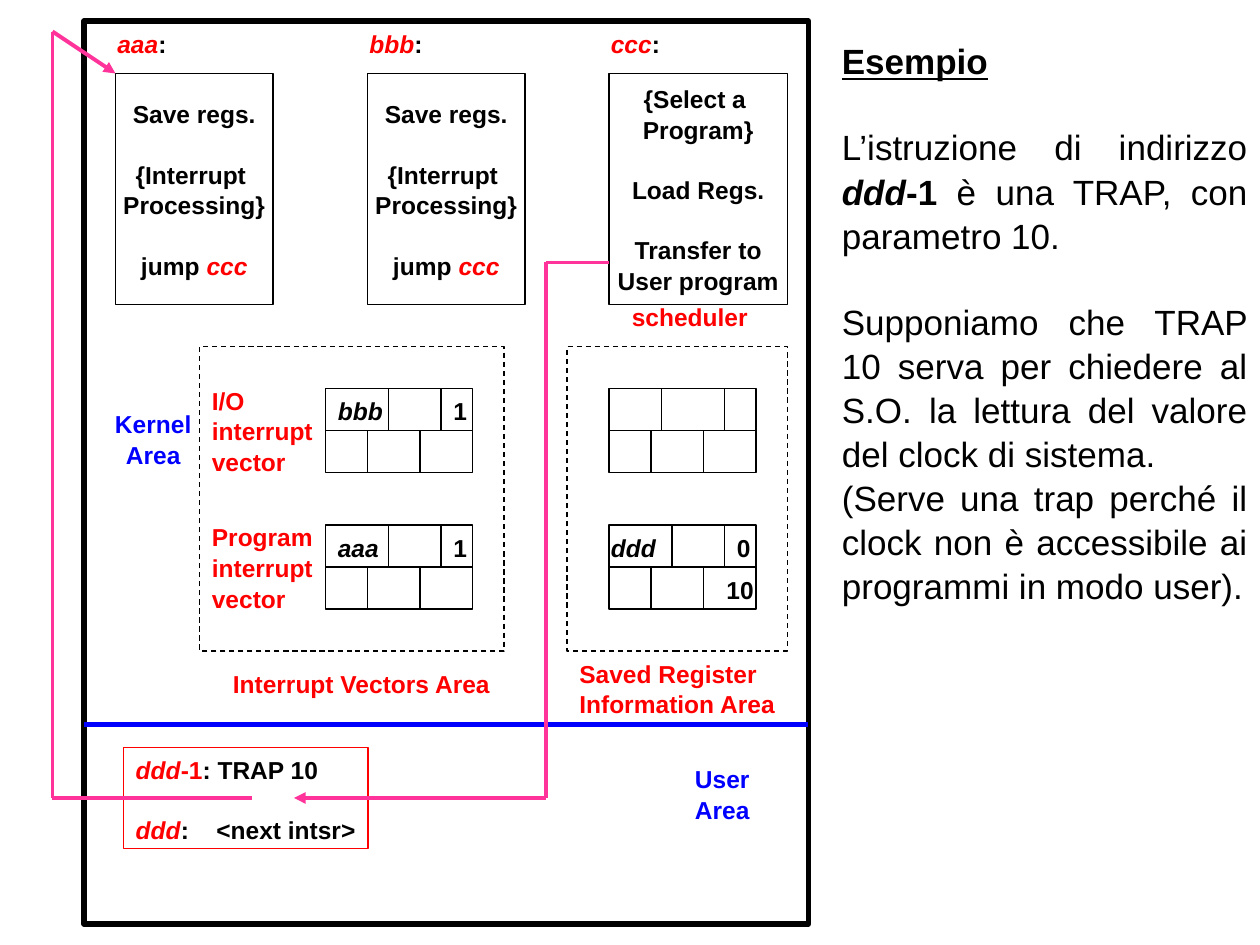
from dataclasses import dataclass

from lxml import etree
from pptx import Presentation
from pptx.dml.color import RGBColor
from pptx.enum.dml import MSO_LINE_DASH_STYLE as Dash
from pptx.enum.shapes import MSO_CONNECTOR as Connector, MSO_SHAPE as Shape
from pptx.enum.text import MSO_ANCHOR as Anchor, MSO_AUTO_SIZE as AutoSize, PP_ALIGN as Align
from pptx.oxml.ns import qn
from pptx.util import Inches, Pt


@dataclass(frozen=True)
class Theme:
    font: str = "Arial"
    label: int = 14
    body: int = 20
    thin: float = 0.75
    flow: float = 2.25
    thick: float = 3
    leading: float = 1.05
    black: str = "000000"
    white: str = "FFFFFF"
    red: str = "FF0000"
    blue: str = "0000FF"
    pink: str = "FF3399"


T = Theme()
COLS, ROWS = 120, 90  # grid of twelve cells to the inch
LINE = 1.2            # height of a text line, as a share of its type size
CELL_PT = 6           # points in one grid cell

RED_NAME = dict(color=T.red, italic=True)
NAME = dict(bold=True, italic=True)


def grid(*cells):
    return [Inches(c / 12) for c in cells]


def rgb(value):
    return RGBColor.from_string(value)


def write(tf, paras, size=T.label, color=T.black, bold=True, italic=False,
          align=Align.LEFT, gaps=(), tab=None):
    """Fill a frame; a paragraph is a string or a list of strings and (text, format) pairs.
    The paragraphs numbered in gaps have one free line before them."""
    for i, runs in enumerate(paras):
        p = tf.paragraphs[0] if i == 0 else tf.add_paragraph()
        if tab:
            tabs = etree.SubElement(p._p.get_or_add_pPr(), qn("a:tabLst"))
            etree.SubElement(tabs, qn("a:tab"), pos=str(Inches(tab)), algn="l")
        p.alignment = align
        p.line_spacing = T.leading
        if i in gaps:
            p.space_before = Pt(size * LINE)
        for run in [runs] if isinstance(runs, str) else runs:
            text, own = (run, {}) if isinstance(run, str) else run
            look = dict(color=color, bold=bold, italic=italic, underline=False) | own
            r = p.add_run()
            r.text = text
            r.font.name, r.font.size = T.font, Pt(size)
            r.font.color.rgb = rgb(look["color"])
            r.font.bold, r.font.italic = look["bold"], look["italic"]
            r.font.underline = look["underline"]


def label(s, x, y, w, *paras, wrap=False, h=None, **fmt):
    height = h or len(paras) * T.label * LINE / CELL_PT + 1.2
    tf = s.shapes.add_textbox(*grid(x, y, w, height)).text_frame
    tf.word_wrap = wrap
    tf.auto_size = AutoSize.NONE
    write(tf, paras, **fmt)


def box(s, x, y, w, h, *paras, line=T.black, width=T.thin, dash=None,
        anchor=Anchor.MIDDLE, **fmt):
    sp = s.shapes.add_shape(Shape.RECTANGLE, *grid(x, y, w, h))
    sp.shadow.inherit = False
    sp.fill.solid()
    sp.fill.fore_color.rgb = rgb(T.white)
    sp.line.color.rgb = rgb(line)
    sp.line.width = Pt(width)
    if dash:
        sp.line.dash_style = dash
    tf = sp.text_frame
    tf.word_wrap = False
    tf.vertical_anchor = anchor
    write(tf, paras, **fmt)


def line(s, start, end, color=T.black, width=T.thin, arrow=False):
    c = s.shapes.add_connector(Connector.STRAIGHT, *grid(*start, *end))
    c.line.color.rgb = rgb(color)
    c.line.width = Pt(width)
    if arrow:
        etree.SubElement(c.line._get_or_add_ln(), qn("a:tailEnd"), type="triangle")
    etree.SubElement(c._element.spPr, qn("a:effectLst"))


def flow(s, *points, arrow=True):
    """Join points by pink lines, with an arrowhead at the last one."""
    for i, (a, b) in enumerate(zip(points, points[1:]), 2):
        line(s, a, b, T.pink, T.flow, arrow=arrow and i == len(points))


def register(s, x, y, top=(6, 11), bottom=(4, 9)):
    """Two-row word whose rows are split at different columns."""
    w, row = 14, 4
    box(s, x, y, w, 2 * row)
    line(s, (x, y + row), (x + w, y + row))
    for r, splits in enumerate((top, bottom)):
        for dx in splits:
            line(s, (x + dx, y + r * row), (x + dx, y + (r + 1) * row))


def routines(s):
    handler = ("Save regs.", "{Interrupt ", "Processing}", ["jump ", ("ccc", RED_NAME)])
    scheduler = ("{Select a ", "Program}", "Load Regs.", "Transfer to", "User program")
    for name, x, w, paras, gaps in (("aaa", 11, 15, handler, (1, 3)),
                                    ("bbb", 35, 15, handler, (1, 3)),
                                    ("ccc", 58, 17, scheduler, (2, 3))):
        box(s, x, 7, w, 22, *paras, align=Align.CENTER, gaps=gaps)
        label(s, x - 1, 2, 7.2, [(name, RED_NAME), ":"])
    label(s, 59, 28, 13.4, "scheduler", color=T.red)


def kernel_tables(s):
    for x, w in ((19, 29), (54, 21)):
        box(s, x, 33, w, 29, dash=Dash.DASH)
    # Interrupt vectors
    for y, kind, name in ((37, "I/O", "bbb"), (50, "Program", "aaa")):
        register(s, 31, y)
        label(s, 31, y, 6.7, name, italic=True)
        label(s, 42, y, 3.7, "1")
        label(s, 19, y - 1, 12, kind, "interrupt", "vector", color=T.red)
    # Saved registers
    register(s, 58, 37, top=(5, 11))
    register(s, 58, 50)
    label(s, 57, 50, 6.7, "ddd", italic=True)
    label(s, 69, 50, 3.7, "0")
    label(s, 68, 54, 4.9, "10")
    # Area names
    label(s, 21, 63, 27.1, "Interrupt Vectors Area", color=T.red)
    label(s, 54, 62, 21.1, "Saved Register", "Information Area", color=T.red)
    label(s, 9.8, 38.2, 9.6, "Kernel", "Area", color=T.blue, align=Align.CENTER)


def user_area(s):
    line(s, (8, 69), (77, 69), T.blue, T.thick)
    box(s, 11.75, 71.2, 23.3, 9.6,
        [("ddd", RED_NAME), ("-1", dict(color=T.red)), ": TRAP 10"],
        [("ddd", RED_NAME), ":\t<next intsr>"],
        line=T.red, anchor=Anchor.TOP, gaps=(1,), tab=0.64)
    label(s, 65, 72, 7.6, "User", "Area", color=T.blue)


def explanation(s):
    label(s, 79, 3, 41, [("Esempio", dict(bold=True, underline=True))],
          ["L’istruzione di indirizzo ", ("ddd", NAME), ("-1", dict(bold=True)),
           " è una TRAP, con parametro 10."],
          "Supponiamo che TRAP 10 serva per chiedere al S.O. la lettura del valore "
          "del clock di sistema.",
          "(Serve una trap perché il clock non è accessibile ai programmi in modo user).",
          h=57.2, wrap=True, size=T.body, bold=False, align=Align.JUSTIFY, gaps=(1, 2))


def main():
    prs = Presentation()
    prs.slide_width, prs.slide_height = grid(COLS, ROWS)
    s = prs.slides.add_slide(prs.slide_layouts[6])
    box(s, 8, 2, 69, 86, width=T.thick)  # memory
    routines(s)
    kernel_tables(s)
    user_area(s)
    # Trap to its handler, and scheduler back to the program
    flow(s, (24, 76), (5, 76), (5, 3), (11, 7))
    flow(s, (58, 25), (52, 25), (52, 76), (28, 76))
    explanation(s)
    prs.save("out.pptx")


if __name__ == "__main__":
    main()
